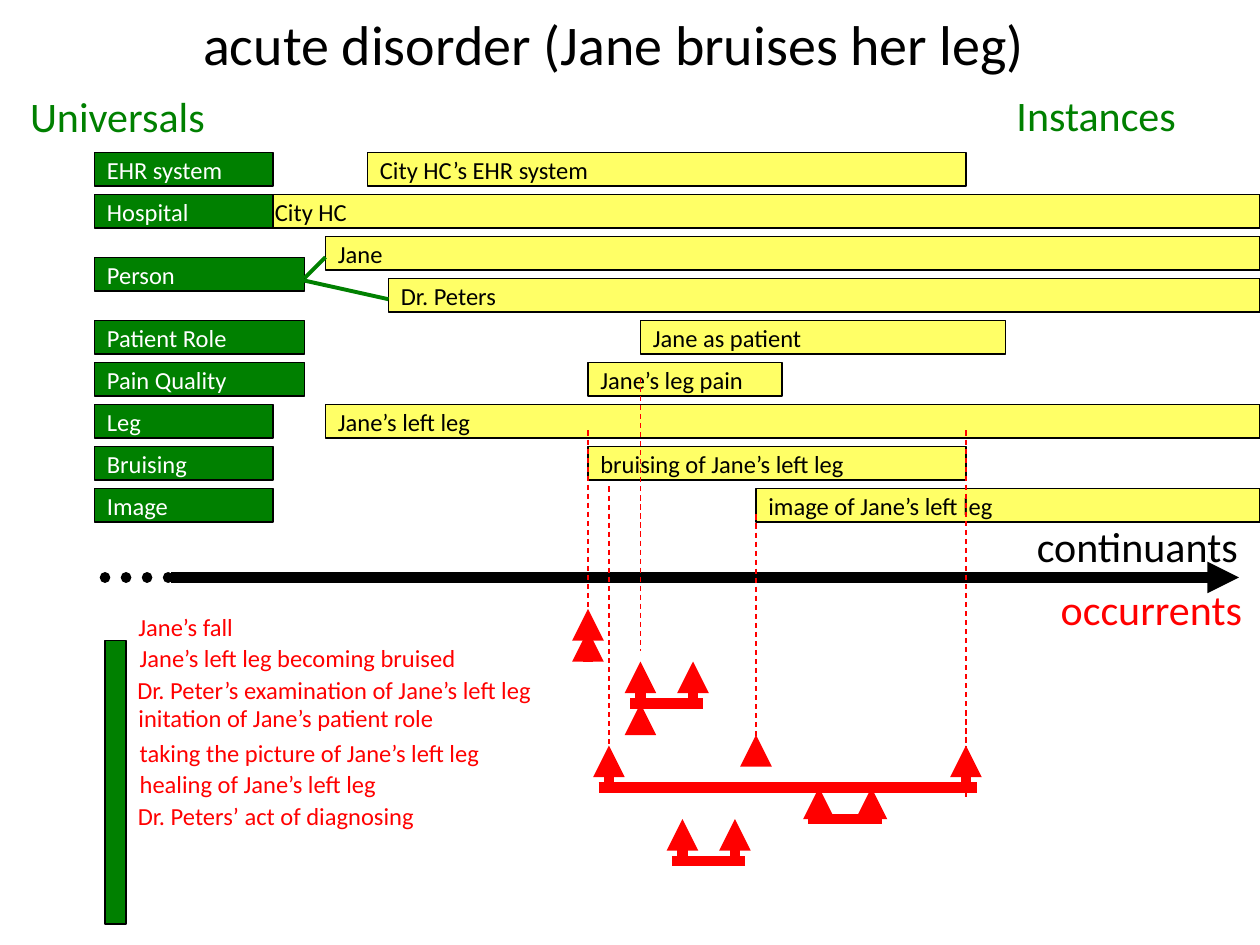
from lxml.etree import SubElement
from pptx import Presentation
from pptx.dml.color import RGBColor
from pptx.enum.dml import MSO_LINE_DASH_STYLE as Dash
from pptx.enum.shapes import MSO_CONNECTOR as Connector, MSO_SHAPE as Shape
from pptx.enum.text import MSO_ANCHOR as Anchor, MSO_AUTO_SIZE as AutoSize, PP_ALIGN as Align
from pptx.oxml.ns import qn
from pptx.util import Pt

BLACK, WHITE, RED, GREEN, YELLOW = "000000", "FFFFFF", "FF0000", "008000", "FFFF66"
WIDTH, HEIGHT = 720, 540
ROW_TOP, ROW_STEP, ROW_HEIGHT = 87, 24, 19.4
UNIVERSAL_LEFT, BAR_OVERHANG = 54, 6

TITLE = "acute disorder (Jane bruises her leg)"
HEADINGS = [
    ("continuants", BLACK, 585.4, 293.8, 134.6),
    ("occurrents", RED, 599, 329.8, 118.8),
    ("Universals", GREEN, 10.1, 48.2, 114.5),
    ("Instances", GREEN, 573.8, 47.5, 105.8),
]
UNIVERSALS = [
    ("EHR system", 0, 102),
    ("Hospital", 1, 102),
    ("Person", 2.5, 120),
    ("Patient Role", 4, 120),
    ("Pain Quality", 5, 120),
    ("Leg", 6, 102),
    ("Bruising", 7, 102),
    ("Image", 8, 102),
]
INSTANCES = [
    ("City HC’s EHR system", 210, 552),
    ("City HC", 150, WIDTH),
    ("Jane", 186, WIDTH),
    ("Dr. Peters", 222, WIDTH),
    ("Jane as patient", 366, 574.8),
    ("Jane’s leg pain", 336, 447),
    ("Jane’s left leg", 186, WIDTH),
    ("bruising of Jane’s left leg", 336, 552),
    ("image of Jane’s left leg", 432, WIDTH),
]
PERSON_LINKS = [(174, 159, 186, 147), (168, 159, 222, 171)]
TIME_MARKS = [(336, 246, 360), (432, 294, 438), (552, 246, 456), (348, 278, 433.5), (366, 216, 372)]
OCCURRENTS = [
    ("Jane’s fall", 72, 348, 69),
    ("Jane’s left leg becoming bruised", 72.7, 366, 196),
    ("Dr. Peter’s examination of Jane’s left leg", 71.4, 384, 243.5),
    ("initation of Jane’s patient role", 72, 400.5, 184.5),
    ("taking the picture of Jane’s left leg", 72.7, 420, 209.5),
    ("healing of Jane’s left leg", 72.7, 438, 150.5),
    ("Dr. Peters’ act of diagnosing", 71.7, 456, 174),
]
EVENTS = [
    ([336], 348, 366),
    ([336], 360, 378),
    ([366, 396], 378, 402),
    ([432], 420, 438),
    ([348, 552], 426, 450),
    ([468, 498], 450, 468),
    ([390, 420], 468, 492),
    ([366], 402, 420),
]


def color(value):
    return RGBColor.from_string(value)


def apply(target, values):
    for name, value in values.items():
        setattr(target, name, value)


def write(shape, text, size, text_color, inset, wrap=True, **frame_format):
    frame = shape.text_frame
    apply(frame, {
        "word_wrap": wrap, "auto_size": AutoSize.SHAPE_TO_FIT_TEXT, "vertical_anchor": Anchor.TOP,
        "margin_left": Pt(7.2), "margin_right": Pt(7.2),
        "margin_top": Pt(inset), "margin_bottom": Pt(inset), **frame_format,
    })
    paragraph = frame.paragraphs[0]
    paragraph.text = text
    paragraph.alignment = Align.LEFT
    apply(paragraph.font, {"name": "Calibri", "size": Pt(size)})
    paragraph.font.color.rgb = color(text_color)
    return paragraph


def add_label(slide, text, text_color, size, inset, left, top, width, height):
    box = slide.shapes.add_textbox(Pt(left), Pt(top), Pt(width), Pt(height))
    write(box, text, size, text_color, inset, wrap=False)


def add_bar(slide, fill, left, top, width, height):
    bar = slide.shapes.add_shape(Shape.RECTANGLE, Pt(left), Pt(top), Pt(width), Pt(height))
    bar.shadow.inherit = False
    bar.fill.solid()
    bar.fill.fore_color.rgb = color(fill)
    bar.line.color.rgb = color(BLACK)
    bar.line.width = Pt(0.75)
    return bar


def add_row_bar(slide, text, fill, text_color, left, row, width):
    bar = add_bar(slide, fill, left, ROW_TOP + row * ROW_STEP, width, ROW_HEIGHT)
    write(bar, text, 14, text_color, 1.44)


def add_line(slide, points, line_color, width, dash=None, arrow=None, cap=None):
    line = slide.shapes.add_connector(Connector.STRAIGHT, *map(Pt, points))
    line.line.color.rgb = color(line_color)
    apply(line.line, {"width": Pt(width), "dash_style": dash})
    outline = line.get_or_add_ln()
    if cap:
        outline.set("cap", cap)
    if arrow:
        SubElement(outline, qn(f"a:{arrow}"), type="triangle")
    SubElement(line._element.spPr, qn("a:effectLst"))


def main():
    """Build the timeline of continuants and occurrents."""
    presentation = Presentation()
    apply(presentation, {"slide_width": Pt(WIDTH), "slide_height": Pt(HEIGHT)})
    slide = presentation.slides.add_slide(presentation.slide_layouts[6])

    title = slide.shapes.add_textbox(Pt(0), Pt(0), Pt(702), Pt(49.7))
    paragraph = write(title, TITLE, 32, BLACK, 3.6, auto_size=AutoSize.NONE, vertical_anchor=Anchor.MIDDLE)
    paragraph.alignment = Align.CENTER

    for row, (text, left, right) in enumerate(INSTANCES):
        add_row_bar(slide, text, YELLOW, BLACK, left, row, right - left)
    for text, row, width in UNIVERSALS:
        add_row_bar(slide, text, GREEN, WHITE, UNIVERSAL_LEFT, row, width)
    for points in PERSON_LINKS:
        add_line(slide, points, GREEN, 2.25)
    for text, text_color, left, top, width in HEADINGS:
        add_label(slide, text, text_color, 24, 3.6, left, top, width, 36)

    add_line(slide, (98, 330, 708, 330), BLACK, 6, arrow="tailEnd")
    add_line(slide, (60, 330, 110, 330), BLACK, 6, dash=Dash.ROUND_DOT, cap="rnd")
    add_bar(slide, GREEN, 60, 366, 12, 162)

    for x, top, bottom in TIME_MARKS:
        add_line(slide, (x, top, x, bottom), RED, 0.75, dash=Dash.DASH)
    for text, left, top, width in OCCURRENTS:
        add_label(slide, text, RED, 14, 1.44, left, top, width, ROW_HEIGHT)
    for moments, top, bottom in EVENTS:
        for x in moments:
            add_line(slide, (x, top, x, bottom), RED, 6, arrow="headEnd")
        if len(moments) > 1:
            ends = (moments[0] - BAR_OVERHANG, bottom, moments[-1] + BAR_OVERHANG, bottom)
            add_line(slide, ends, RED, 6)

    presentation.save("out.pptx")


if __name__ == "__main__":
    main()
